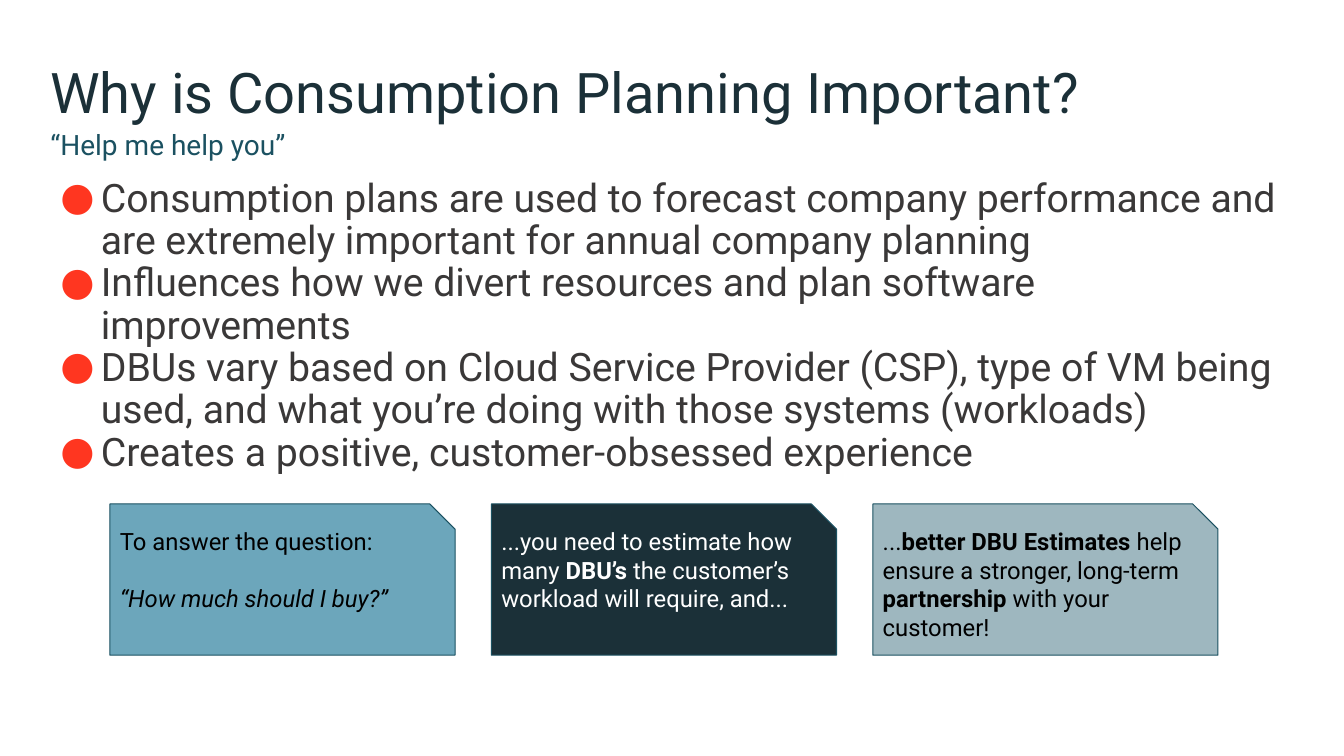
from lxml import etree
from pptx import Presentation
from pptx.dml.color import RGBColor
from pptx.enum.shapes import MSO_SHAPE
from pptx.enum.text import MSO_ANCHOR, PP_ALIGN
from pptx.oxml.ns import qn
from pptx.util import Inches, Pt

SNIPPED = MSO_SHAPE.SNIP_1_RECTANGLE
TOP, BOTTOM = MSO_ANCHOR.TOP, MSO_ANCHOR.BOTTOM
LEFT = PP_ALIGN.LEFT

FONT = "Roboto"
NAVY, TEAL, GRAY, RED = "1B3038", "1B5161", "3A3838", "FF3620"
BLACK, WHITE = "000000", "FFFFFF"

TITLE = "Why is Consumption Planning Important?"
SUBTITLE = "“Help me help you”"
REASONS = [
    "Consumption plans are used to forecast company performance and are "
    "extremely important for annual company planning",
    "Influences how we divert resources and plan software improvements",
    "DBUs vary based on Cloud Service Provider (CSP), type of VM being used, "
    "and what you’re doing with those systems (workloads)",
    "Creates a positive, customer-obsessed experience",
]
QUESTION = "“How much should I buy?”"
CARDS = [
    ("6CA6BB", BLACK, [[("To answer the question:", False)],
                       [(QUESTION, False)]]),
    (NAVY, WHITE, [[("...you need to estimate how many ", False),
                    ("DBU’s", True),
                    (" the customer’s workload will require, and...", False)]]),
    ("9EB7BF", BLACK, [[("...", False),
                        ("better DBU Estimates", True),
                        (" help ensure a stronger, long-term ", False),
                        ("partnership", True),
                        (" with your customer!", False)]]),
]


def color(value):
    """Turn a hex string into a colour."""
    return RGBColor.from_string(value)


def set_font(para, size, value):
    """Set the font, size and colour of a paragraph."""
    para.font.name = FONT
    para.font.size = Pt(size)
    para.font.color.rgb = color(value)


def set_frame(frame, side, vertical, anchor=TOP):
    """Set wrapping, margins and anchor of a text frame."""
    frame.word_wrap = True
    frame.margin_left = frame.margin_right = Inches(side)
    frame.margin_top = frame.margin_bottom = Inches(vertical)
    frame.vertical_anchor = anchor


def add_bullet(para):
    """Give a paragraph a hanging red bullet."""
    props = para._p.get_or_add_pPr()
    props.set("marL", str(Inches(0.5)))
    props.set("indent", str(Inches(-0.4)))
    tint = etree.SubElement(props, qn("a:buClr"))
    etree.SubElement(tint, qn("a:srgbClr"), val=RED)
    etree.SubElement(props, qn("a:buFont"), typeface=FONT)
    etree.SubElement(props, qn("a:buChar"), char="●")


def add_text(page, box, lines, size, value, vertical=0.05, anchor=TOP, bullets=False):
    """Place lines of text in a box, with or without bullets."""
    frame = page.shapes.add_textbox(*map(Inches, box)).text_frame
    set_frame(frame, 0, vertical, anchor)
    for index, line in enumerate(lines):
        para = frame.paragraphs[0] if index == 0 else frame.add_paragraph()
        para.text = line
        para.line_spacing = 0.9
        if bullets:
            add_bullet(para)
        set_font(para, size, value)


def add_card(page, box, fill, ink, paragraphs):
    """Draw one snipped card with its text."""
    card = page.shapes.add_shape(SNIPPED, *map(Inches, box))
    card.shadow.inherit = False
    card.fill.solid()
    card.fill.fore_color.rgb = color(fill)
    card.line.color.rgb = color(TEAL)
    card.line.width = Pt(0.75)
    frame = card.text_frame
    set_frame(frame, 0.1, 0.1)
    for index, spans in enumerate(paragraphs):
        para = frame.paragraphs[0] if index == 0 else frame.add_paragraph()
        para.alignment = LEFT
        if index:
            para.space_before = Pt(20)
            para.font.italic = True
        set_font(para, 17, ink)
        for text, bold in spans:
            span = para.add_run()
            span.text = text
            if bold:
                span.font.bold = True


def add_cards(page, box, gap):
    """Lay out the cards in equal columns across a box."""
    left, top, width, height = box
    card_width = (width - gap * (len(CARDS) - 1)) / len(CARDS)
    for index, card in enumerate(CARDS):
        x = left + index * (card_width + gap)
        add_card(page, (x, top, card_width, height), *card)


def main():
    """Build the slide and save it."""
    deck = Presentation()
    deck.slide_width, deck.slide_height = Inches(13.33), Inches(7.5)
    page = deck.slides.add_slide(deck.slide_layouts[6])
    add_text(page, (0.5, 0.25, 12.3, 1), [TITLE], 40, NAVY, 0, BOTTOM)
    add_text(page, (0.5, 1.72, 12.31, 5.04), REASONS, 28, GRAY, bullets=True)
    add_text(page, (0.5, 1.25, 12.3, 0.7), [SUBTITLE], 20, TEAL)
    add_cards(page, (1.09, 5, 10.99, 1.5), 0.36)
    deck.save("out.pptx")


if __name__ == "__main__":
    main()
